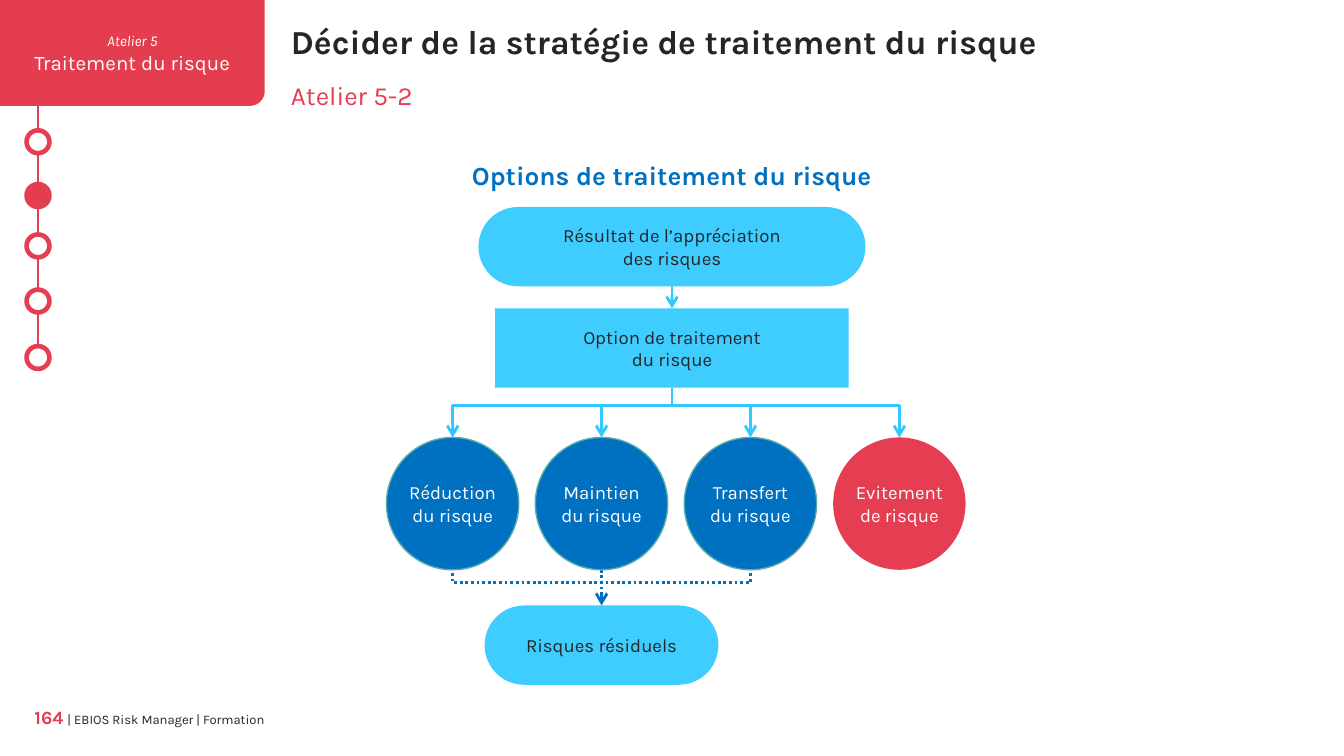
from dataclasses import dataclass
from math import cos, pi, sin

from lxml.etree import SubElement
from pptx import Presentation
from pptx.dml.color import RGBColor
from pptx.enum.dml import MSO_LINE
from pptx.enum.shapes import MSO_CONNECTOR, MSO_SHAPE
from pptx.enum.text import MSO_ANCHOR, PP_ALIGN
from pptx.oxml.ns import qn
from pptx.util import Inches, Pt

SLIDE_WIDTH = Inches(10)
SLIDE_HEIGHT = SLIDE_WIDTH * 9 // 16
CELL = SLIDE_WIDTH / 100  # square grid: 100 columns, 56.25 rows

RED, BLUE, SKY, ARROW_SKY = "E53D51", "0070C0", "3FCCFF", "31C8FF"
TEAL, INK, WHITE = "58ACAC", "252525", "FFFFFF"
TAB_RED = "E53D50"


@dataclass
class Box:
    """A region in grid columns and rows."""
    left: float
    top: float
    width: float
    height: float

    def inner(self, left, top, width, height):
        return Box(self.left + left, self.top + top, width, height)

    def point(self, column, row):
        return cells(self.left + column), cells(self.top + row)

    def emu(self):
        return [cells(n) for n in (self.left, self.top, self.width, self.height)]


def cells(count):
    return round(count * CELL)


def color(hex_value):
    return RGBColor.from_string(hex_value)


def run(text, size, ink, bold=False, italic=False):
    return text, size, ink, bold, italic


def write(shape, paragraphs, align=PP_ALIGN.CENTER, anchor=MSO_ANCHOR.MIDDLE, inset=True):
    """Fill a shape with paragraphs, each a list of runs; a newline is a line break."""
    frame = shape.text_frame
    frame.word_wrap = True
    frame.vertical_anchor = anchor
    if not inset:
        frame.margin_left = frame.margin_right = frame.margin_top = frame.margin_bottom = 0
    for index, runs in enumerate(paragraphs):
        paragraph = frame.add_paragraph() if index else frame.paragraphs[0]
        paragraph.alignment = align
        for text, size, ink, bold, italic in runs:
            for number, line in enumerate(text.split("\n")):
                if number:
                    paragraph.add_line_break()
                piece = paragraph.add_run()
                piece.text = line
                font = piece.font
                font.name, font.size = "Karla", Pt(size)
                font.bold, font.italic = bold, italic
                font.color.rgb = color(ink)


def paint(shape, fill, outline=None, width=0.75):
    shape.shadow.inherit = False
    shape.fill.solid()
    shape.fill.fore_color.rgb = color(fill)
    if outline:
        stroke(shape, outline, width)
    else:
        shape.line.fill.background()


def stroke(shape, ink, width=1.5, dotted=False, ends=()):
    """Style a line; ends names the arrowheads to add, headEnd before tailEnd."""
    shape.line.color.rgb = color(ink)
    shape.line.width = Pt(width)
    if dotted:
        shape.line.dash_style = MSO_LINE.ROUND_DOT
    for end in ends:
        SubElement(shape.line._get_or_add_ln(), qn(f"a:{end}"), type="arrow")


def add_block(slide, kind, box, fill, outline=None, width=0.75):
    block = slide.shapes.add_shape(kind, *box.emu())
    paint(block, fill, outline, width)
    if kind == MSO_SHAPE.ROUNDED_RECTANGLE:
        block.adjustments[0] = 0.5
    return block


def add_line(slide, start, end, ink, **style):
    line = slide.shapes.add_connector(MSO_CONNECTOR.STRAIGHT, *start, *end)
    stroke(line, ink, **style)
    SubElement(line._element.spPr, qn("a:effectLst"))
    return line


def add_outline(slide, points, close):
    builder = slide.shapes.build_freeform(*points[0])
    builder.add_line_segments(points[1:], close=close)
    return builder.convert_to_shape()


def add_bracket(slide, points, ink, **style):
    bracket = add_outline(slide, points, close=False)
    bracket.fill.background()
    bracket.shadow.inherit = False
    stroke(bracket, ink, **style)


def add_text(slide, box, paragraphs, **layout):
    write(slide.shapes.add_textbox(*box.emu()), paragraphs, **layout)


def workshop_tab(slide, box):
    radius, steps = 1.1, 12
    angles = [step * pi / 2 / steps for step in range(steps + 1)]
    corner = [box.point(box.width - radius + radius * cos(a),
                        box.height - radius + radius * sin(a)) for a in angles]
    outline = [box.point(0, 0), box.point(box.width, 0), *corner, box.point(0, box.height)]
    tab = add_outline(slide, outline, close=True)
    paint(tab, TAB_RED)
    write(tab, [[run("Atelier 5", 8, WHITE, italic=True)],
                [run("Traitement du risque", 11, WHITE)]])


def progress_rail(slide, box, current):
    middle, dot = box.width / 2, box.width
    add_line(slide, box.point(middle, 0), box.point(middle, box.height), RED, width=1.25)
    for step, row in enumerate((3, 7, 10.75, 14.85, 19.05)):
        fill = TAB_RED if step == current else WHITE
        add_block(slide, MSO_SHAPE.OVAL, box.inner(0, row, dot, dot), fill, RED, 2.5)


def footer(slide, box):
    add_text(slide, box, [[run("164", 10, RED, bold=True), run(" ", 9, "323232"),
                           run("| EBIOS Risk Manager | Formation", 7, INK)]],
             align=PP_ALIGN.RIGHT, anchor=MSO_ANCHOR.TOP, inset=False)


def headings(slide, box):
    layout = dict(align=PP_ALIGN.LEFT, anchor=MSO_ANCHOR.TOP, inset=False)
    title = "Décider de la stratégie de traitement du risque"
    add_text(slide, box.inner(0, 0, box.width, 3), [[run(title, 18, INK, bold=True)]], **layout)
    add_text(slide, box.inner(0, 4.35, 70.4, 2.4), [[run("Atelier 5-2", 14, RED)]], **layout)


def treatment_flow(slide, box):
    """Draw the risk treatment options, from assessment down to residual risks."""
    middle, step_height, circle = 21.2, 5.9, 9.85
    centers = [4.88 + 11.08 * n for n in range(4)]
    option_row, bar_row, circle_row, residual_row = 11.85, 19.1, 21.45, 33.95
    circle_foot, dotted_row = circle_row + circle, 32.25

    def step(kind, center, row, width, text):
        block = add_block(slide, kind, box.inner(center - width / 2, row, width, step_height), SKY)
        write(block, [[run(text, 10, INK)]])
        return block

    add_text(slide, box.inner(middle - 17.35, 0, 34.7, 3.9),
             [[run("Options de traitement du risque", 14, BLUE, bold=True)]])
    result = step(MSO_SHAPE.ROUNDED_RECTANGLE, middle, 4.3, 28.8,
                  "Résultat de l’appréciation\ndes risques")
    option = step(MSO_SHAPE.RECTANGLE, middle, option_row, 26.3, "Option de traitement\ndu risque")
    residual = step(MSO_SHAPE.ROUNDED_RECTANGLE, centers[1], residual_row, 17.4, "Risques résiduels")

    to_option = add_line(slide, box.point(middle, 10.2), box.point(middle, option_row),
                         ARROW_SKY, ends=["tailEnd"])
    to_option.begin_connect(result, 2)
    to_option.end_connect(option, 0)
    stem = add_line(slide, box.point(middle, option_row + step_height),
                    box.point(middle, bar_row), ARROW_SKY)
    stem.begin_connect(option, 2)

    first, *inner, last = centers
    add_bracket(slide, [box.point(last, circle_row), box.point(last, bar_row),
                        box.point(first, bar_row), box.point(first, circle_row)],
                ARROW_SKY, ends=["headEnd", "tailEnd"])
    for center in inner:
        add_line(slide, box.point(center, bar_row), box.point(center, circle_row),
                 ARROW_SKY, ends=["tailEnd"])

    add_bracket(slide, [box.point(centers[2], circle_foot - 1), box.point(centers[2], dotted_row),
                        box.point(first, dotted_row), box.point(first, circle_foot - 1)],
                BLUE, dotted=True)
    to_residual = add_line(slide, box.point(centers[1], circle_foot),
                           box.point(centers[1], residual_row),
                           BLUE, dotted=True, ends=["tailEnd"])
    to_residual.end_connect(residual, 0)

    options = [("Réduction", "du risque", BLUE, TEAL), ("Maintien", "du risque", BLUE, TEAL),
               ("Transfert", "du risque", BLUE, TEAL), ("Evitement", "de risque", RED, None)]
    for center, (action, target, fill, outline) in zip(centers, options):
        disc = add_block(slide, MSO_SHAPE.OVAL,
                         box.inner(center - circle / 2, circle_row, circle, circle), fill, outline)
        write(disc, [[run(action, 10, WHITE)], [run(target, 10, WHITE)]], inset=False)


def main():
    deck = Presentation()
    deck.slide_width, deck.slide_height = SLIDE_WIDTH, SLIDE_HEIGHT
    slide = deck.slides.add_slide(deck.slide_layouts[6])
    progress_rail(slide, Box(1.98, 6.7, 1.7, 20.7), current=1)
    workshop_tab(slide, Box(0, 0, 19.7, 7.88))
    footer(slide, Box(1.98, 52.5, 17.7, 2))
    treatment_flow(slide, Box(28.8, 11.1, 43, 39.8))
    headings(slide, Box(21.65, 1.55, 74.8, 6.7))
    deck.save("out.pptx")


if __name__ == "__main__":
    main()
